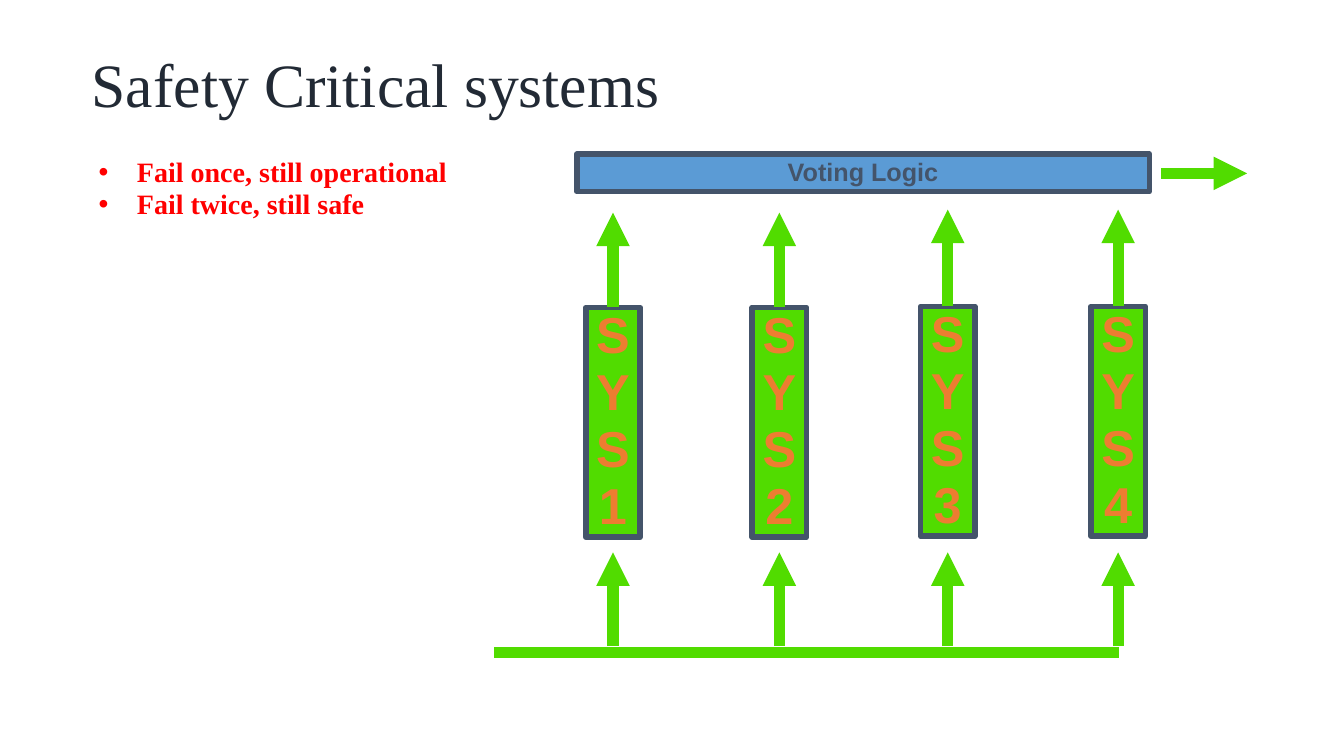
import pptx
import pptx.util
import pptx.dml.color
import pptx.enum.shapes
import pptx.enum.text
import pptx.oxml
import pptx.oxml.ns
from dataclasses import dataclass
from pptx.util import Inches


@dataclass(frozen=True)
class Theme:
    green: str = "51DC00"
    blue: str = "5B9BD5"
    slate: str = "44546A"
    orange: str = "ED7D31"
    navy: str = "222A35"
    red: str = "FF0000"
    serif: str = "Times New Roman"
    sans: str = "Arial"
    title_size: int = 44
    system_size: int = 36
    bullet_size: int = 20
    voting_size: int = 18
    border: int = 4
    signal: int = 8


THEME = Theme()
CENTER = pptx.enum.text.PP_ALIGN.CENTER
SYSTEMS = [("1", 6.08, 3.05, 2.11), ("2", 7.73, 3.05, 2.11),
           ("3", 9.4, 3.04, 2.08), ("4", 11.09, 3.04, 2.08)]
SYSTEM_WIDTH, SYSTEM_HEIGHT = 0.54, 2.28
INPUT_TOP, INPUT_BOTTOM = 5.48, 6.41


def rgb(value):
    return pptx.dml.color.RGBColor.from_string(value)


def write(frame, text, font, size, color, bold=True, align=None, spacing=0.05):
    frame.text = text
    frame.vertical_anchor = pptx.enum.text.MSO_ANCHOR.MIDDLE
    for paragraph in frame.paragraphs:
        paragraph.alignment = align
        paragraph.line_spacing = 0.9
        paragraph.space_before = pptx.util.Pt(size * spacing)
        for run in paragraph.runs:
            run.font.name = font
            run.font.size = pptx.util.Pt(size)
            run.font.bold = bold
            run.font.color.rgb = rgb(color)


def add_title(slide, text):
    title = slide.shapes.add_textbox(Inches(0.86), Inches(0.51), Inches(7.9), Inches(0.71))
    frame = title.text_frame
    frame.word_wrap = True
    frame.margin_left = frame.margin_right = Inches(0.05)
    frame.margin_top = frame.margin_bottom = Inches(0.02)
    write(frame, text, THEME.serif, THEME.title_size, THEME.navy, bold=False, spacing=0)


def add_bullets(slide, lines):
    bullets = slide.shapes.add_textbox(Inches(0.88), Inches(1.53), Inches(3.81), Inches(0.7))
    frame = bullets.text_frame
    frame.word_wrap = True
    write(frame, "\n".join(lines), THEME.serif, THEME.bullet_size, THEME.red)
    for paragraph in frame.paragraphs:
        properties = paragraph._p.get_or_add_pPr()
        properties.set("marL", str(Inches(0.38)))
        properties.set("indent", str(-Inches(0.38)))
        for tag, attribute, value in (("a:buFont", "typeface", THEME.sans),
                                      ("a:buChar", "char", "•")):
            mark = pptx.oxml.ns.qn(tag)
            properties.append(properties.makeelement(mark, {attribute: value}))


def add_box(slide, left, top, width, height, fill, text, size, color, wrap):
    box = slide.shapes.add_shape(pptx.enum.shapes.MSO_SHAPE.RECTANGLE, Inches(left),
                                 Inches(top), Inches(width), Inches(height))
    box.shadow.inherit = False
    box.fill.solid()
    box.fill.fore_color.rgb = rgb(fill)
    box.line.color.rgb = rgb(THEME.slate)
    box.line.width = pptx.util.Pt(THEME.border)
    box.text_frame.word_wrap = wrap
    write(box.text_frame, text, THEME.sans, size, color, align=CENTER)
    return box


def add_signal(slide, start, end, arrow=True):
    signal = slide.shapes.add_connector(pptx.enum.shapes.MSO_CONNECTOR.STRAIGHT,
                                        *(Inches(value) for value in start + end))
    signal.line.color.rgb = rgb(THEME.green)
    signal.line.width = pptx.util.Pt(THEME.signal)
    if arrow:
        line = signal.line._get_or_add_ln()
        line.append(line.makeelement(pptx.oxml.ns.qn("a:tailEnd"), {"type": "triangle"}))
    outline = signal._element.spPr
    outline.append(outline.makeelement(pptx.oxml.ns.qn("a:effectLst"), {}))
    return signal


def add_system(slide, number, center, top, output_tip):
    system = add_box(slide, center - SYSTEM_WIDTH / 2, top, SYSTEM_WIDTH, SYSTEM_HEIGHT,
                     THEME.green, "\n".join("SYS" + number), THEME.system_size,
                     THEME.orange, wrap=False)
    add_signal(slide, (center, INPUT_BOTTOM), (center, INPUT_TOP))
    output = add_signal(slide, (center, top), (center, output_tip))
    output.begin_connect(system, 0)


def main():
    deck = pptx.Presentation()
    deck.slide_width, deck.slide_height = Inches(13.33), Inches(7.5)
    slide = deck.slides.add_slide(deck.slide_layouts[6])
    add_title(slide, "Safety Critical systems")
    add_bullets(slide, ["Fail once, still operational", "Fail twice, still safe"])
    add_box(slide, 5.72, 1.53, 5.68, 0.37, THEME.blue, "Voting Logic",
            THEME.voting_size, THEME.slate, wrap=True)
    add_signal(slide, (11.52, 1.72), (12.37, 1.72))
    add_signal(slide, (4.9, 6.47), (11.1, 6.47), arrow=False)
    for system in SYSTEMS:
        add_system(slide, *system)
    deck.save("out.pptx")


if __name__ == "__main__":
    main()
